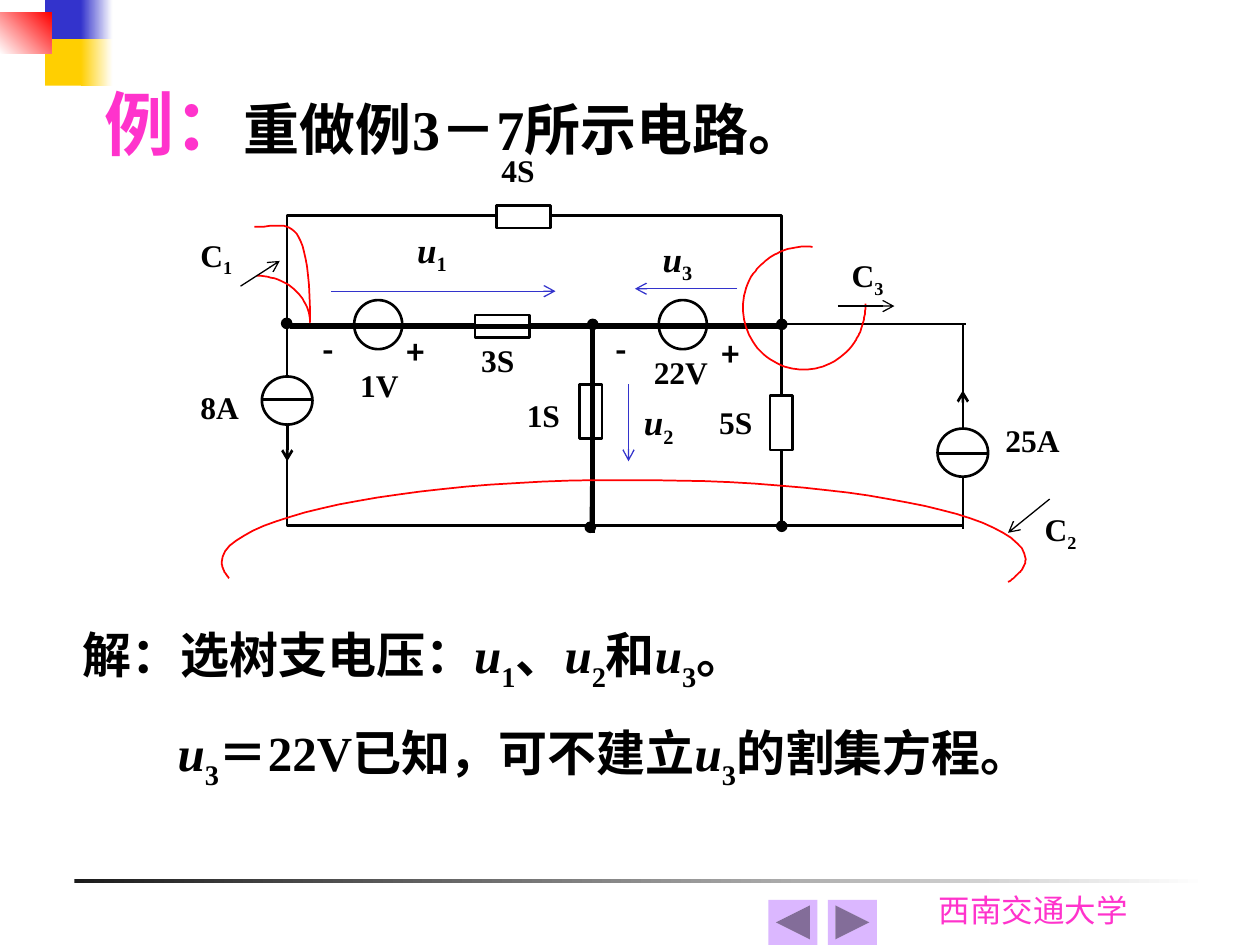
from lxml import etree
from pptx import Presentation
from pptx import util as u
from pptx.dml.color import RGBColor
from pptx.enum import shapes, text
from pptx.oxml.ns import qn

HAN, SERIF, FOOTER = "Noto Sans CJK SC", "Times New Roman", "Roboto"
BLACK, WHITE, RED, BLUE, GOLD, PINK = "000000", "FFFFFF", "FF0000", "3333CC", "FFCF01", "FF33CC"
LILAC = "DBB7FF"
KIND = shapes.MSO_SHAPE


def dist(inches):
    return u.Cm(round(inches * 2.54, 2))


def color(hex_string):
    return RGBColor.from_string(hex_string)


def apply(target, values):
    for name, value in values.items():
        setattr(target, name, value)


def outline(line, hex_string, width):
    line.color.rgb = color(hex_string)
    line.width = u.Pt(width)


def block(slide, kind, box, fill=None, line=None, fade=None, angle=0):
    figure = slide.shapes.add_shape(kind, *map(dist, box))
    figure.shadow.inherit = False
    if fade:
        figure.fill.gradient()
        figure.fill.gradient_angle = angle
        for stop, hex_string in zip(figure.fill.gradient_stops, fade):
            stop.color.rgb = color(hex_string)
            stop.position = fade.index(hex_string)
    elif fill:
        figure.fill.solid()
        figure.fill.fore_color.rgb = color(fill)
    else:
        figure.fill.background()
    if line:
        outline(figure.line, line, 1.5)
    else:
        figure.line.fill.background()


def wire(slide, ends, hex_string=BLACK, width=1.5, arrow=False):
    connector = slide.shapes.add_connector(shapes.MSO_CONNECTOR.STRAIGHT, *map(dist, ends))
    outline(connector.line, hex_string, width)
    properties = connector._element.spPr
    if arrow:
        etree.SubElement(properties.find(qn("a:ln")), qn("a:tailEnd"), type="arrow")
    etree.SubElement(properties, qn("a:effectLst"))


def bezier(start, first, second, end, steps=24):
    for step in range(1, steps + 1):
        t = step / steps
        weights = ((1 - t) ** 3, 3 * t * (1 - t) ** 2, 3 * t * t * (1 - t), t ** 3)
        yield tuple(sum(w * p[axis] for w, p in zip(weights, (start, first, second, end)))
                    for axis in (0, 1))


def cut(slide, points):
    traced = [points[0]]
    for i in range(0, len(points) - 1, 3):
        traced.extend(bezier(*points[i:i + 4]))
    places = [tuple(map(dist, point)) for point in traced]
    builder = slide.shapes.build_freeform(*places[0])
    builder.add_line_segments(places[1:], close=False)
    curve = builder.convert_to_shape()
    curve.shadow.inherit = False
    curve.fill.background()
    outline(curve.line, RED, 1)


def write(slide, box, size, runs, inset=(0, 0)):
    frame = slide.shapes.add_textbox(*map(dist, box)).text_frame
    side, top = map(dist, inset)
    apply(frame, {"word_wrap": True, "margin_left": side, "margin_right": side,
                  "margin_top": top, "margin_bottom": top})
    paragraph = frame.paragraphs[0]
    for content, font, *changes in runs:
        style = {"size": size, "ink": BLACK, "bold": True, "italic": False, "drop": 0}
        for change in changes:
            style.update(change)
        run = paragraph.add_run()
        run.text = content
        apply(run.font, {"name": font, "size": u.Pt(style["size"]),
                         "bold": style["bold"], "italic": style["italic"]})
        run.font.color.rgb = color(style["ink"])
        properties = run._r.get_or_add_rPr()
        etree.SubElement(properties, qn("a:ea"), typeface=font)
        if style["drop"]:
            properties.set("baseline", str(-1000 * style["drop"]))


def symbol(letter, index, drop, italic=True):
    return [(letter, SERIF, {"italic": italic}), (index, SERIF, {"drop": drop})]


def decorate(slide):
    block(slide, KIND.RECTANGLE, (0.59, 6.98, 9, 0.03), fade=("1C1C1C", WHITE))
    write(slide, (7.35, 7.02, 1.81, 0.4), 18,
          [("西南交通大学", FOOTER, {"ink": PINK, "bold": False})], (0.1, 0.05))
    for top, shade in ((0, BLUE), (0.31, GOLD)):
        block(slide, KIND.RECTANGLE, (0.36, top, 0.3, 0.37), fill=shade)
        block(slide, KIND.RECTANGLE, (0.64, top, 0.25, 0.37), fade=(shade, WHITE))
    block(slide, KIND.RECTANGLE, (0, 0.1, 0.41, 0.33), fade=(WHITE, RED), angle=45)
    block(slide, KIND.ACTION_BUTTON_BACK_OR_PREVIOUS, (6.1, 7.14, 0.39, 0.36), fill=LILAC)
    block(slide, KIND.ACTION_BUTTON_FORWARD_OR_NEXT, (6.57, 7.14, 0.39, 0.36), fill=LILAC)


def draw_circuit(slide):
    block(slide, KIND.RECTANGLE, (2.28, 1.71, 3.92, 2.46), line=BLACK)
    for ends in ((2.28, 2.57, 7.67, 2.57), (4.71, 2.57, 4.69, 4.19),
                 (7.64, 2.57, 7.64, 4.2), (6.2, 4.17, 7.64, 4.17)):
        wire(slide, ends)
    for left in (2.81, 5.23):
        block(slide, KIND.OVAL, (left, 2.38, 0.38, 0.39), line=BLACK)
    for left, top, chord, start, end in ((7.44, 3.4, 3.6, 3.4, 3.1), (2.08, 2.99, 3.17, 3.37, 3.66)):
        block(slide, KIND.OVAL, (left, top, 0.4, 0.38), WHITE, BLACK)
        wire(slide, (left, chord, left + 0.4, chord))
        wire(slide, (left + 0.2, start, left + 0.2, end), arrow=True)
    for resistor in ((3.94, 1.63, 0.43, 0.18), (3.77, 2.5, 0.43, 0.18),
                     (4.6, 3.05, 0.18, 0.43), (6.11, 3.14, 0.18, 0.43)):
        block(slide, KIND.RECTANGLE, resistor, WHITE, BLACK)
    for left, top in ((6.17, 2.54), (4.67, 2.54), (2.24, 2.53), (6.17, 4.14), (4.65, 4.15)):
        block(slide, KIND.OVAL, (left, top, 0.07, 0.07), BLACK, BLACK)
    for tree_branch in ((2.3, 2.59, 6.21, 2.59), (4.7, 2.61, 4.7, 4.23)):
        wire(slide, tree_branch, width=3)


def label_circuit(slide):
    for sign, left, top in (("+", 3.23, 2.64), ("+", 5.73, 2.66), ("-", 4.88, 2.62), ("-", 2.56, 2.62)):
        write(slide, (left, top, 0.29, 0.4), 18, [(sign, HAN)])
    for value, left, top in (("3S", 3.82, 2.71), ("4S", 3.98, 1.2), ("1S", 4.18, 3.14),
                             ("5S", 5.71, 3.2), ("25A", 7.98, 3.34), ("8A", 1.59, 3.08),
                             ("22V", 5.19, 2.8), ("1V", 2.86, 2.9)):
        write(slide, (left, top, 0.54, 0.4), 18, [(value, SERIF)])
    for index, left, top in (("1", 1.59, 1.87), ("3", 6.76, 2.03), ("2", 8.29, 4.05)):
        write(slide, (left, top, 0.48, 0.44), 18, symbol("C", index, 25, italic=False))
    for index, left, top in (("1", 3.31, 1.81), ("2", 5.11, 3.18), ("3", 5.26, 1.88)):
        write(slide, (left, top, 0.52, 0.4), 20, symbol("u", index, 25))


def draw_cut_sets(slide):
    cut(slide, [(2.04, 2.19), (2.27, 2.19), (2.46, 2.35), (2.46, 2.56), (2.46, 1.64),
                (2.27, 1.8), (2.04, 1.8), (2.03, 1.8), (2.03, 1.8), (2.02, 1.8)])
    cut(slide, [(6.45, 1.96), (6.27, 1.94), (6.09, 2.02), (5.98, 2.17), (5.83, 2.39),
                (5.89, 2.7), (6.11, 2.85), (6.33, 3), (6.63, 2.94), (6.78, 2.72),
                (6.84, 2.63), (6.87, 2.52), (6.87, 2.41)])
    cut(slide, [(1.82, 4.59), (1.78, 4.55), (1.76, 4.5), (1.76, 4.46), (1.76, 4.11),
                (3.18, 3.81), (4.94, 3.81), (6.71, 3.8), (8.13, 4.08), (8.14, 4.44),
                (8.14, 4.5), (8.09, 4.56), (8, 4.62)])
    for pointer in ((6.65, 2.43, 7.1, 2.43), (1.91, 2.27, 2.22, 2.07), (8.33, 3.96, 8, 4.23)):
        wire(slide, pointer, width=0.75, arrow=True)
    for voltage in ((2.63, 2.31, 4.41, 2.31), (4.99, 3.05, 4.99, 3.66), (5.85, 2.29, 5.04, 2.29)):
        wire(slide, voltage, BLUE, 0.75, arrow=True)


def write_solution(slide):
    inset = (0.1, 0.05)
    u1, u2, u3 = (symbol("u", index, 30) for index in "123")
    write(slide, (0.73, 0.59, 6.03, 1.3), 32,
          [("例：", HAN, {"size": 40, "ink": PINK}), ("重做例", HAN), ("3", SERIF),
           ("－", HAN), ("7", SERIF), ("所示电路。", HAN)], inset)
    write(slide, (0.56, 4.9, 7.32, 0.65), 28,
          [("解：选树支电压：", HAN), *u1, ("、", HAN), *u2, ("和", HAN), *u3, ("。", HAN)], inset)
    write(slide, (1.31, 5.68, 7.46, 0.65), 28,
          [*u3, ("＝", HAN), ("22V", SERIF), ("已知，可不建立", HAN), *u3,
           ("的割集方程。", HAN)], inset)


def main():
    deck = Presentation()
    apply(deck, {"slide_width": dist(10), "slide_height": dist(7.5)})
    slide = deck.slides.add_slide(deck.slide_layouts[6])
    decorate(slide)
    draw_circuit(slide)
    draw_cut_sets(slide)
    label_circuit(slide)
    write_solution(slide)
    deck.save("out.pptx")


if __name__ == "__main__":
    main()
